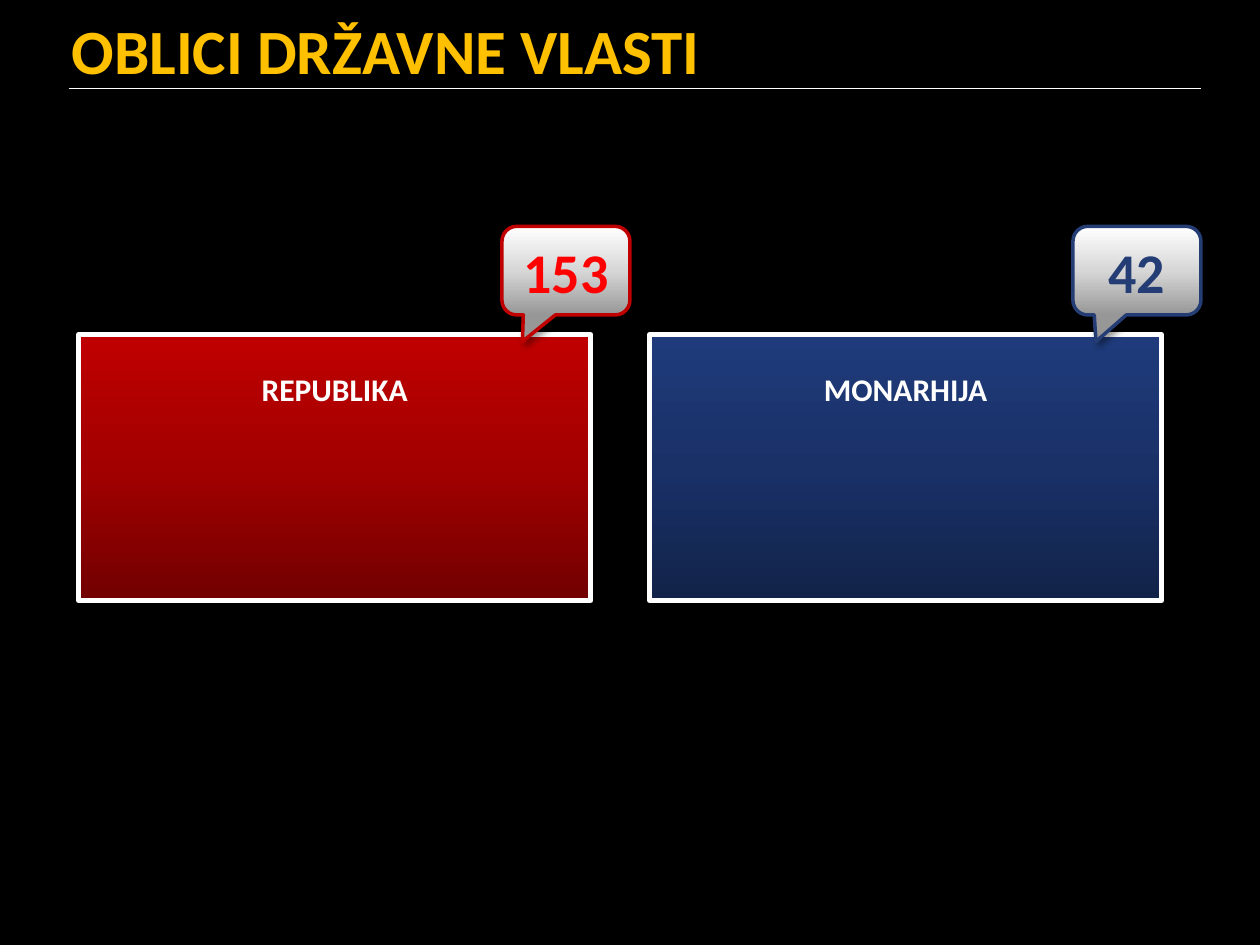
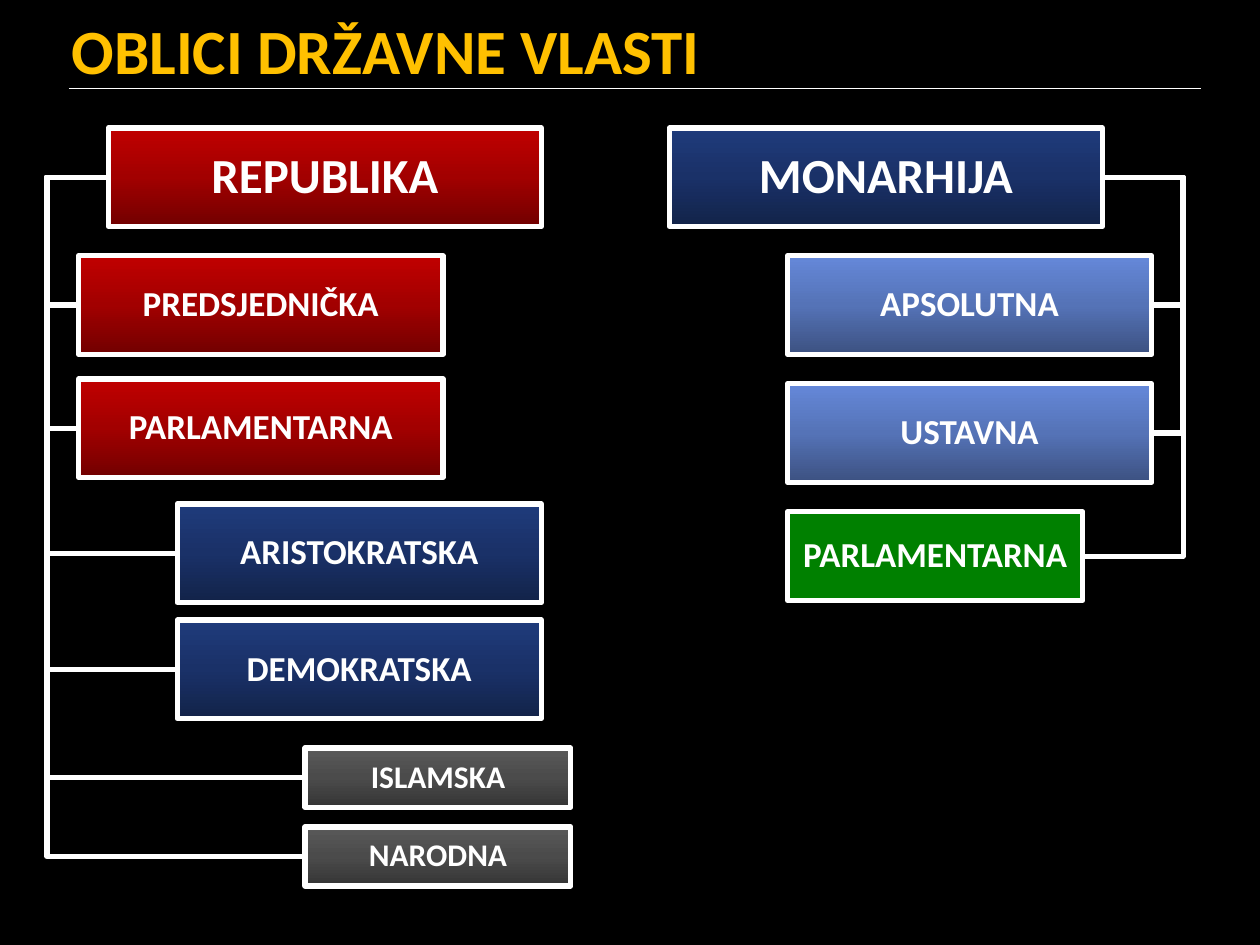
from copy import deepcopy

from lxml import etree
from pptx import Presentation, util as u
from pptx.dml.color import RGBColor
from pptx.enum import shapes, text
from pptx.oxml.ns import qn

UNIT = 10 / 128  # the slide is a grid of 128 columns by 96 rows
FONT = "Calibri"
WHITE, BLACK, GOLD, GREEN = "FFFFFF", "000000", "FFC000", "008000"
# gradients run from the bottom edge to the top edge
RED = ("720000", "A20000", "C00000")
NAVY = ("122349", "1A3168", "1F3B7B")
SKY = ("3C5181", "5573B7", "6588D9")
GREY = ("353535", "4B4B4B", "595959")
SILVER = ("979797", "D7D7D7", "FFFFFF")
HEAD = "OBLICI DRŽAVNE VLASTI"


def rgb(code):
    return RGBColor.from_string(code)


def grid(*cells):
    return [u.Inches(cell * UNIT) for cell in cells]


def write(frame, words, size, color=WHITE, align=text.PP_ALIGN.CENTER,
          anchor=text.MSO_ANCHOR.MIDDLE, space=None, pad=0.05):
    frame.word_wrap = True
    frame.auto_size = text.MSO_AUTO_SIZE.NONE
    frame.vertical_anchor = anchor
    frame.margin_left = frame.margin_right = u.Inches(pad)
    para = frame.paragraphs[0]
    para.text = words
    para.alignment = align
    para.line_spacing = space
    font = para.runs[0].font
    font.name, font.size, font.bold = FONT, u.Pt(size), True
    font.color.rgb = rgb(color)


def paint(shape, fill):
    """Fill with one colour, or with three as a vertical gradient."""
    if isinstance(fill, str):
        shape.fill.solid()
        shape.fill.fore_color.rgb = rgb(fill)
        return
    shape.fill.gradient()
    shape.fill.gradient_angle = 90
    first = shape._element.spPr.find(".//" + qn("a:gs"))
    first.addnext(deepcopy(first))
    for stop, color, pos in zip(shape.fill.gradient_stops, fill, (0, 0.5, 1)):
        stop.color.rgb = rgb(color)
        stop.position = pos


def shade(shape):
    """Add a soft shadow down and to the right."""
    effects = shape._element.spPr.find(qn("a:effectLst"))
    outer = etree.SubElement(effects, qn("a:outerShdw"), blurRad="50800",
                             dist="38100", dir="2700000", algn="tl",
                             rotWithShape="0")
    tint = etree.SubElement(outer, qn("a:srgbClr"), val=BLACK)
    etree.SubElement(tint, qn("a:alpha"), val="40000")


def block(slide, box, fill, line=WHITE, width=3,
          kind=shapes.MSO_SHAPE.RECTANGLE):
    shape = slide.shapes.add_shape(kind, *grid(*box))
    shape.shadow.inherit = False
    paint(shape, fill)
    shape.line.color.rgb = rgb(line)
    shape.line.width = u.Pt(width)
    return shape


def link(slide, kind, ends, width):
    line = slide.shapes.add_connector(kind, *ends)
    line.line.color.rgb = rgb(WHITE)
    line.line.width = u.Pt(width)
    etree.SubElement(line._element.spPr, qn("a:effectLst"))
    return line


def elbow(slide, root, kid, side, bus):
    """Join the same side of two blocks by way of the column bus."""
    line = link(slide, shapes.MSO_CONNECTOR.ELBOW, (0, 0, 0, 0), 3)
    line.begin_connect(root, side)
    line.end_connect(kid, side)
    bend = (grid(bus)[0] - line.begin_x) / (line.end_x - line.begin_x)
    geom = line._element.spPr.find(qn("a:prstGeom"))
    guides = geom.find(qn("a:avLst"))
    if guides is None:
        guides = etree.SubElement(geom, qn("a:avLst"))
    etree.SubElement(guides, qn("a:gd"), name="adj1",
                     fmla=f"val {round(bend * 100000)}")


def start(deck):
    slide = deck.slides.add_slide(deck.slide_layouts[5])
    title = slide.shapes.title
    title.left, title.top, title.width, title.height = grid(6, 1, 122, 8)
    write(title.text_frame, HEAD, 36, color=GOLD,
          align=text.PP_ALIGN.LEFT, pad=0.1)
    link(slide, shapes.MSO_CONNECTOR.STRAIGHT, grid(7, 9, 122, 9), 1)
    return slide


def panel(slide, box, name, fill, count, ink, edge, tail):
    """Draw a named panel with a count in a callout at its top right."""
    left, top, wide, high = box
    shade(block(slide, box, fill))
    label = slide.shapes.add_textbox(
        *grid(left + 2, top + 3, wide - 4, high - 6))
    write(label.text_frame, name, 18, anchor=text.MSO_ANCHOR.TOP)
    note = block(slide, (left + wide - 9, top - 11, 13, 9), SILVER, edge, 2,
                 shapes.MSO_SHAPE.ROUNDED_RECTANGULAR_CALLOUT)
    note.adjustments[0], note.adjustments[1] = tail, 0.8
    shade(note)
    write(note.text_frame, count, 32, color=ink)


def tree(slide, box, name, fill, side, bus, kids):
    """Draw a root in box; kids and bus are offset from its top left."""
    left, top = box[:2]
    root = block(slide, box, fill)
    write(root.text_frame, name, 28, space=0.93)
    for words, tone, across, down, wide, high, size in kids:
        kid = block(slide, (left + across, top + down, wide, high), tone)
        write(kid.text_frame, words, size, space=0.93)
        elbow(slide, root, kid, side, left + bus)


def counts(deck):
    slide = start(deck)
    panel(slide, (8, 34, 52, 27), "REPUBLIKA", RED,
          "153", "FF0000", "C00000", -0.34)
    panel(slide, (66, 34, 52, 27), "MONARHIJA", NAVY,
          "42", "253D75", "253D75", -0.32)


def kinds(deck):
    slide = start(deck)
    tree(slide, (11, 13, 44, 10), "REPUBLIKA", RED, 1, -6.25, [
        ("PREDSJEDNIČKA", RED, -3, 13, 37, 10, 20),
        ("PARLAMENTARNA", RED, -3, 25.5, 37, 10, 20),
        ("ARISTOKRATSKA", NAVY, 7, 38.2, 37, 10, 20),
        ("DEMOKRATSKA", NAVY, 7, 50, 37, 10, 20),
        ("ISLAMSKA", GREY, 20, 63, 27, 6, 18),
        ("NARODNA", GREY, 20, 71, 27, 6, 18),
    ])
    tree(slide, (68, 13, 44, 10), "MONARHIJA", NAVY, 3, 52.2, [
        ("APSOLUTNA", SKY, 12, 13, 37, 10, 20),
        ("USTAVNA", SKY, 12, 26, 37, 10, 20),
        ("PARLAMENTARNA", GREEN, 12, 39, 30, 9, 20),
    ])


def main():
    deck = Presentation()
    deck.slide_width, deck.slide_height = grid(128, 96)
    back = deck.slide_master.background.fill
    back.solid()
    back.fore_color.rgb = rgb(BLACK)
    counts(deck)
    kinds(deck)
    deck.save("out.pptx")


if __name__ == "__main__":
    main()
